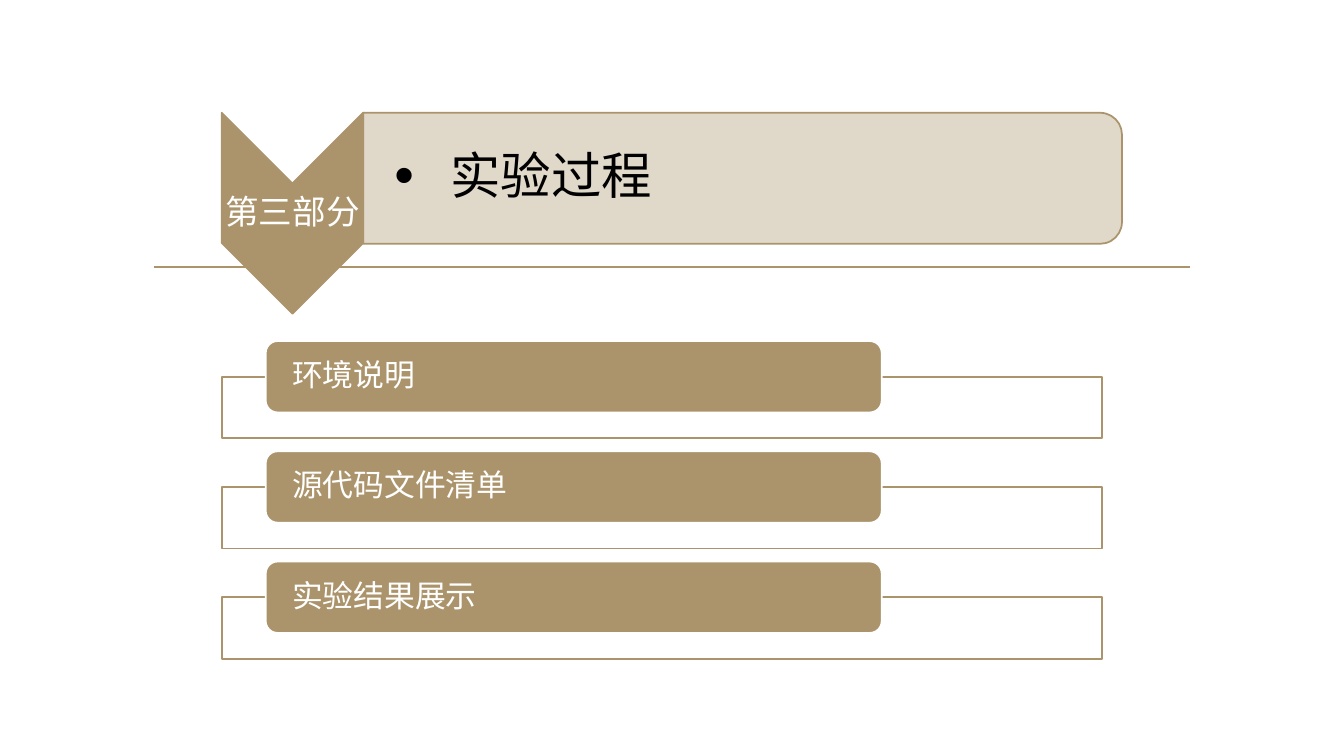
import pptx
import pptx.util
import pptx.dml.color
import pptx.enum.shapes
import pptx.enum.text
import pptx.oxml.ns
import lxml.etree

PART = "第三部分"
TITLE = "实验过程"
TOPICS = ["环境说明", "源代码文件清单", "实验结果展示"]
COLORS = {"gold": "AB946B", "sand": "DDD4C4", "white": "FFFFFF", "black": "000000"}
FONT = "Times New Roman"

LEFT = 158.4
TOP = 80.6
ARROW_W, ARROW_H = 101, 143.5
BANNER_W, BANNER_H = 542, 93.6
RULE = (110.2, 850.3, 190.8)
FRAME_W, FRAME_H = 628.6, 43.9
TAB_W, TAB_H = 440, 51
FIRST, PITCH = 269.1, 78.75

Pt = pptx.util.Pt
Shape = pptx.enum.shapes.MSO_SHAPE
Align = pptx.enum.text.PP_ALIGN
qn = pptx.oxml.ns.qn


def color(name):
    return pptx.dml.color.RGBColor.from_string(COLORS[name])


def add_box(slide, kind, area, fill, line, alpha=None, turned=False):
    """Draw a filled shape; a turned one fills its area after a quarter turn."""
    x, y, w, h = area
    if turned:
        x, y, w, h = x + (w - h) / 2, y + (h - w) / 2, h, w
    box = slide.shapes.add_shape(kind, Pt(x), Pt(y), Pt(w), Pt(h))
    box.rotation = 90 if turned else 0
    box.shadow.inherit = False
    box.fill.solid()
    box.fill.fore_color.rgb = color(fill)
    box.line.color.rgb = color(line)
    box.line.width = Pt(1.25)
    if alpha:
        tone = box.fill._xPr.find(qn("a:solidFill"))[0]
        lxml.etree.SubElement(tone, qn("a:alpha"), val=str(alpha * 1000))
    return box


def add_label(slide, area):
    return slide.shapes.add_textbox(*map(Pt, area))


def write(box, text, size, tone, inset, align=Align.LEFT, hang=0):
    frame = box.text_frame
    frame.word_wrap = True
    frame.vertical_anchor = pptx.enum.text.MSO_ANCHOR.MIDDLE
    frame.margin_left, frame.margin_right = map(Pt, inset)
    frame.margin_top = frame.margin_bottom = Pt(1.5)
    para = frame.paragraphs[0]
    para.text = text
    para.alignment = align
    para.line_spacing = 0.9
    if hang:
        props = para._p.get_or_add_pPr()
        props.set("marL", str(Pt(hang)))
        props.set("indent", str(-Pt(hang)))
        lxml.etree.SubElement(props, qn("a:buSzPct"), val="111000")
        lxml.etree.SubElement(props, qn("a:buFont"), typeface="Arial")
        lxml.etree.SubElement(props, qn("a:buChar"), char="•")
    para.font.name = FONT
    para.font.size = Pt(size)
    para.font.color.rgb = color(tone)


def add_rule(slide):
    start, end, y = map(Pt, RULE)
    rule = slide.shapes.add_connector(
        pptx.enum.shapes.MSO_CONNECTOR.STRAIGHT, start, y, end, y)
    rule.line.color.rgb = color("gold")
    rule.line.width = Pt(1.25)
    lxml.etree.SubElement(rule._element.spPr, qn("a:effectLst"))


def add_header(slide):
    add_box(slide, Shape.CHEVRON, (LEFT, TOP, ARROW_W, ARROW_H),
            "gold", "gold", turned=True)
    part = add_label(slide, (LEFT, TOP + ARROW_W / 2, ARROW_W, ARROW_H - ARROW_W))
    write(part, PART, 24, "white", (1.5, 1.5), Align.CENTER)
    area = (LEFT + ARROW_W, TOP, BANNER_W, BANNER_H)
    add_box(slide, Shape.ROUND_2_SAME_RECTANGLE, area,
            "sand", "gold", alpha=90, turned=True)
    write(add_label(slide, area), TITLE, 36, "black", (22.3, 2), hang=40)


def add_topic(slide, index, text):
    y = FIRST + index * PITCH
    add_box(slide, Shape.RECTANGLE, (LEFT, y, FRAME_W, FRAME_H),
            "white", "gold", alpha=90)
    tab = add_box(slide, Shape.ROUNDED_RECTANGLE,
                  (LEFT + FRAME_W / 20, y - TAB_H / 2, TAB_W, TAB_H), "gold", "white")
    write(tab, text, 22, "white", (16.5, 16.5))


def main():
    deck = pptx.Presentation()
    deck.slide_width, deck.slide_height = Pt(960), Pt(540)
    slide = deck.slides.add_slide(deck.slide_layouts[6])
    add_rule(slide)
    add_header(slide)
    for index, text in enumerate(TOPICS):
        add_topic(slide, index, text)
    deck.save("out.pptx")


if __name__ == "__main__":
    main()
